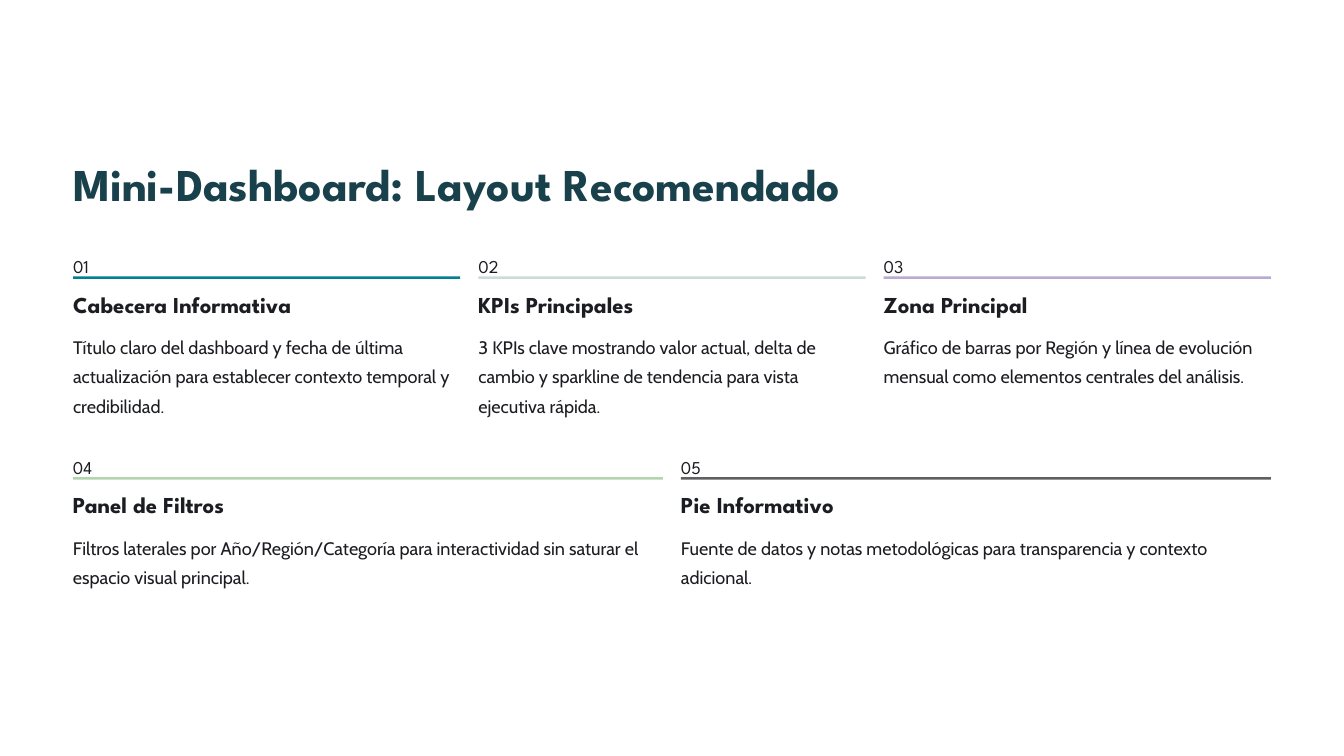
from pptx import Presentation
from pptx.dml.color import RGBColor
from pptx.enum.shapes import MSO_SHAPE as Shape
from pptx.enum.text import MSO_ANCHOR as Anchor, MSO_AUTO_SIZE as AutoSize, PP_ALIGN as Align
from pptx.util import Pt

COLORS = {
    "title": "19414B",
    "text": "1C1D22",
    "teal": "028090",
    "mist": "CADCD8",
    "lilac": "B9AAD4",
    "green": "B2D5AD",
    "gray": "606060",
}
DISPLAY, BODY = "League Spartan", "Cabin"
LEFT, WIDTH, GAP = 62.6, 1026.7, 15.5

ROWS = [
    (212.4, [
        ("01", "teal", "Cabecera Informativa",
         "Título claro del dashboard y fecha de última actualización para "
         "establecer contexto temporal y credibilidad."),
        ("02", "mist", "KPIs Principales",
         "3 KPIs clave mostrando valor actual, delta de cambio y sparkline de "
         "tendencia para vista ejecutiva rápida."),
        ("03", "lilac", "Zona Principal",
         "Gráfico de barras por Región y línea de evolución mensual como "
         "elementos centrales del análisis."),
    ]),
    (384.5, [
        ("04", "green", "Panel de Filtros",
         "Filtros laterales por Año/Región/Categoría para interactividad sin "
         "saturar el espacio visual principal."),
        ("05", "gray", "Pie Informativo",
         "Fuente de datos y notas metodológicas para transparencia y contexto "
         "adicional."),
    ]),
]


def color(name):
    """Return the named palette colour."""
    return RGBColor.from_string(COLORS[name])


def write(holder, text, font, size, leading, ink="text", bold=False):
    """Set one left-aligned paragraph in a holder without margins."""
    frame = holder.text_frame
    frame.text = text
    frame.word_wrap = True
    frame.auto_size = AutoSize.NONE
    frame.vertical_anchor = Anchor.TOP
    frame.margin_left = frame.margin_right = 0
    frame.margin_top = frame.margin_bottom = 0
    paragraph = frame.paragraphs[0]
    paragraph.alignment = Align.LEFT
    paragraph.line_spacing = Pt(leading)
    style = paragraph.runs[0].font
    style.name, style.size, style.bold = font, Pt(size), bold
    style.color.rgb = color(ink)


def add_title(slide, left, top, width, height):
    """Place the slide title in the given box."""
    title = slide.shapes.title
    title.left, title.top = Pt(left), Pt(top)
    title.width, title.height = Pt(width), Pt(height)
    write(title, "Mini-Dashboard: Layout Recomendado", DISPLAY, 39, 48.5, "title", True)


def add_section(slide, left, top, width, section):
    """Place a numbered section with its rule, heading and description."""
    number, accent, heading, description = section

    def box(offset, height):
        return slide.shapes.add_textbox(Pt(left), Pt(top + offset), Pt(width), Pt(height))

    write(box(0, 19.5), number, DISPLAY, 15.5, 25)
    rule = slide.shapes.add_shape(
        Shape.RECTANGLE, Pt(left), Pt(top + 24.5), Pt(width), Pt(2.2))
    rule.shadow.inherit = False
    rule.fill.solid()
    rule.fill.fore_color.rgb = color(accent)
    rule.line.fill.background()
    write(box(36, 24.5), heading, DISPLAY, 19.5, 24, bold=True)
    write(box(69.8, 75), description, BODY, 15.5, 25)


def add_row(slide, left, top, width, sections):
    """Divide the row equally among its sections."""
    section_width = (width - GAP * (len(sections) - 1)) / len(sections)
    for index, section in enumerate(sections):
        add_section(slide, left + index * (section_width + GAP), top, section_width, section)


def main():
    """Build and save the slide."""
    deck = Presentation()
    deck.slide_width, deck.slide_height = Pt(1152), Pt(648)
    slide = deck.slides.add_slide(deck.slide_layouts[5])
    add_title(slide, LEFT, 131.8, 718, 49)
    for top, sections in ROWS:
        add_row(slide, LEFT, top, WIDTH, sections)
    deck.save("out.pptx")


if __name__ == "__main__":
    main()
